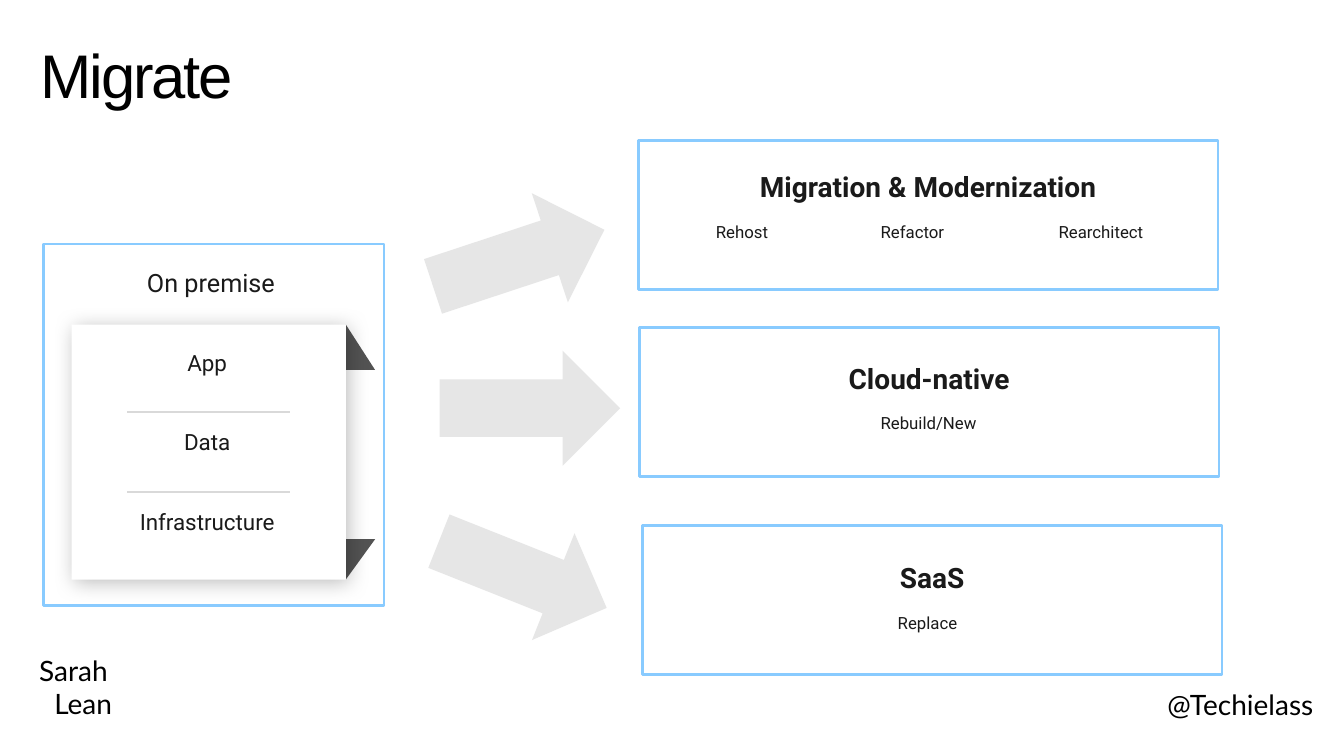
import pptx
import pptx.util
import pptx.dml.color
import pptx.enum.shapes
import pptx.enum.text
import pptx.oxml
import pptx.oxml.ns

Inches, Pt = pptx.util.Inches, pptx.util.Pt
RGB = pptx.dml.color.RGBColor
SHAPE = pptx.enum.shapes.MSO_SHAPE
ANCHOR = pptx.enum.text.MSO_ANCHOR
ALIGN = pptx.enum.text.PP_ALIGN
NS = pptx.oxml.ns.nsdecls("a")

BLACK = RGB(0x00, 0x00, 0x00)
WHITE = RGB(0xFF, 0xFF, 0xFF)
INK = RGB(0x1A, 0x1A, 0x1A)
BLUE = RGB(0x89, 0xCB, 0xFF)
ARROW_GRAY = RGB(0xE6, 0xE6, 0xE6)
RULE_GRAY = RGB(0xD9, 0xD9, 0xD9)
FOLD_GRAY = RGB(0x53, 0x53, 0x53)

TITLE = "Migrate"
SOURCE = "On premise"
LAYERS = ["App", "Data", "Infrastructure"]
# heading, box left, box top, heading offset, [(option, centre x, width)]
TARGETS = [
    ("Migration & Modernization", 6.33, 1.39, 0.28,
     [("Rehost", 7.36, 0.6), ("Refactor", 9.05, 0.76), ("Rearchitect", 10.92, 0.87)]),
    ("Cloud-native", 6.34, 3.25, 0.32, [("Rebuild/New", 9.21, 1.15)]),
    ("SaaS", 6.37, 5.21, 0.34, [("Replace", 9.2, 0.7)]),
]
ARROWS = [(4.25, 1.99, -18.3), (4.36, 3.48, 0), (4.29, 5.13, 21.7)]
AUTHOR = ["Sarah", "Lean"]
HANDLE = "@Techielass"

TARGET_W, TARGET_H = 5.75, 1.48
ARROW_W, ARROW_H = 1.79, 1.14
CARD_X, CARD_Y, CARD_W, CARD_H = 0.71, 3.22, 2.72, 2.53
FOLD_W = 0.29
LAYER_Y, LAYER_STEP = 3.36, 0.79
RULE_X, RULE_W = 1.26, 1.62

prs = pptx.Presentation()
prs.slide_width, prs.slide_height = Inches(13.33), Inches(7.5)
slide = prs.slides.add_slide(prs.slide_layouts[5])


def add_box(kind, x, y, w, h, fill=None, line=None):
    sp = slide.shapes.add_shape(kind, Inches(x), Inches(y), Inches(w), Inches(h))
    sp.shadow.inherit = False
    if fill is None:
        sp.fill.background()
    else:
        sp.fill.solid()
        sp.fill.fore_color.rgb = fill
    if line is None:
        sp.line.fill.background()
    else:
        sp.line.color.rgb = line
        sp.line.width = Pt(2)
    return sp


def add_text(lines, x, y, w, h, size, font="Roboto", color=INK, bold=False,
             align=ALIGN.CENTER, anchor=ANCHOR.TOP, inset=(0.1, 0.05),
             spacing=None, wrap=True):
    sp = slide.shapes.add_textbox(Inches(x), Inches(y), Inches(w), Inches(h))
    tf = sp.text_frame
    tf.word_wrap = wrap
    tf.vertical_anchor = anchor
    tf.margin_left = tf.margin_right = Inches(inset[0])
    tf.margin_top = tf.margin_bottom = Inches(inset[1])
    tf.text = "\n".join(lines)
    for p in tf.paragraphs:
        p.alignment = align
        p.line_spacing = spacing
        p.font.name, p.font.size, p.font.bold = font, Pt(size), bold
        p.font.color.rgb = color
    return tf


def add_title():
    sp = slide.shapes.title
    sp.left, sp.top, sp.width, sp.height = map(Inches, (0.4, 0.44, 9.21, 0.67))
    tf = sp.text_frame
    tf.text = TITLE
    tf.vertical_anchor = ANCHOR.BOTTOM
    tf.margin_left = tf.margin_right = tf.margin_top = tf.margin_bottom = 0
    p = tf.paragraphs[0]
    p.alignment, p.line_spacing = ALIGN.LEFT, 0.9
    p.font.name, p.font.size = "Arial", Pt(44)
    p.font.color.rgb = BLACK
    p.runs[0].font._element.set("spc", "-150")


def add_card():
    """Draw the folded sheet that lists the on-premise layers."""
    fold_x = CARD_X + CARD_W
    add_box(SHAPE.RIGHT_TRIANGLE, fold_x, CARD_Y, FOLD_W, 0.45, FOLD_GRAY)
    lower = add_box(SHAPE.RIGHT_TRIANGLE, fold_x, CARD_Y + CARD_H - 0.4, FOLD_W, 0.4, FOLD_GRAY)
    lower._element.spPr.xfrm.set("flipV", "1")

    card = add_box(SHAPE.RECTANGLE, CARD_X, CARD_Y, CARD_W, CARD_H, WHITE)
    effects = card._element.spPr.find(pptx.oxml.ns.qn("a:effectLst"))
    effects.append(pptx.oxml.parse_xml(
        f'<a:outerShdw {NS} blurRad="{Pt(15)}" dist="{Pt(3)}" dir="2700000" rotWithShape="0">'
        '<a:srgbClr val="000000"><a:alpha val="25000"/></a:srgbClr></a:outerShdw>'))

    for i, layer in enumerate(LAYERS):
        y = LAYER_Y + i * LAYER_STEP
        add_text([layer], 0.62, y, 2.87, 0.69, 16, inset=(0.1, 0.1))
        if i:
            rule_y = Inches(y - 0.06)
            rule = slide.shapes.add_connector(
                pptx.enum.shapes.MSO_CONNECTOR.STRAIGHT,
                Inches(RULE_X), rule_y, Inches(RULE_X + RULE_W), rule_y)
            rule.line.color.rgb = RULE_GRAY
            rule.line.width = Pt(1.25)
            rule._element.spPr.append(pptx.oxml.parse_xml(f"<a:effectLst {NS}/>"))


add_title()
add_card()
add_box(SHAPE.RECTANGLE, 0.43, 2.42, 3.38, 3.59, line=BLUE)
add_text([SOURCE], 1.36, 2.6, 1.53, 0.4, 18, align=ALIGN.LEFT, wrap=False)

for heading, x, y, offset, options in TARGETS:
    add_box(SHAPE.RECTANGLE, x, y, TARGET_W, TARGET_H, line=BLUE)
    add_text([heading], x, y + offset, TARGET_W, 0.4, 20, bold=True,
             anchor=ANCHOR.MIDDLE, spacing=0.9)
    for option, center, w in options:
        add_text([option], center - w / 2, y + offset + 0.46, w, 0.38, 12,
                 inset=(0, 0.1), spacing=0.9, wrap=False)

for x, y, angle in ARROWS:
    add_box(SHAPE.RIGHT_ARROW, x, y, ARROW_W, ARROW_H, ARROW_GRAY).rotation = angle

author = add_text(AUTHOR, 0.29, 6.43, 3.95, 0.77, 20, "Lato", BLACK, align=ALIGN.LEFT)
author.paragraphs[1]._p.get_or_add_pPr().set("marL", str(Inches(0.15)))
add_text([HANDLE], 11.48, 6.77, 1.75, 0.44, 20, "Lato", BLACK, align=ALIGN.LEFT, wrap=False)

prs.save("out.pptx")
